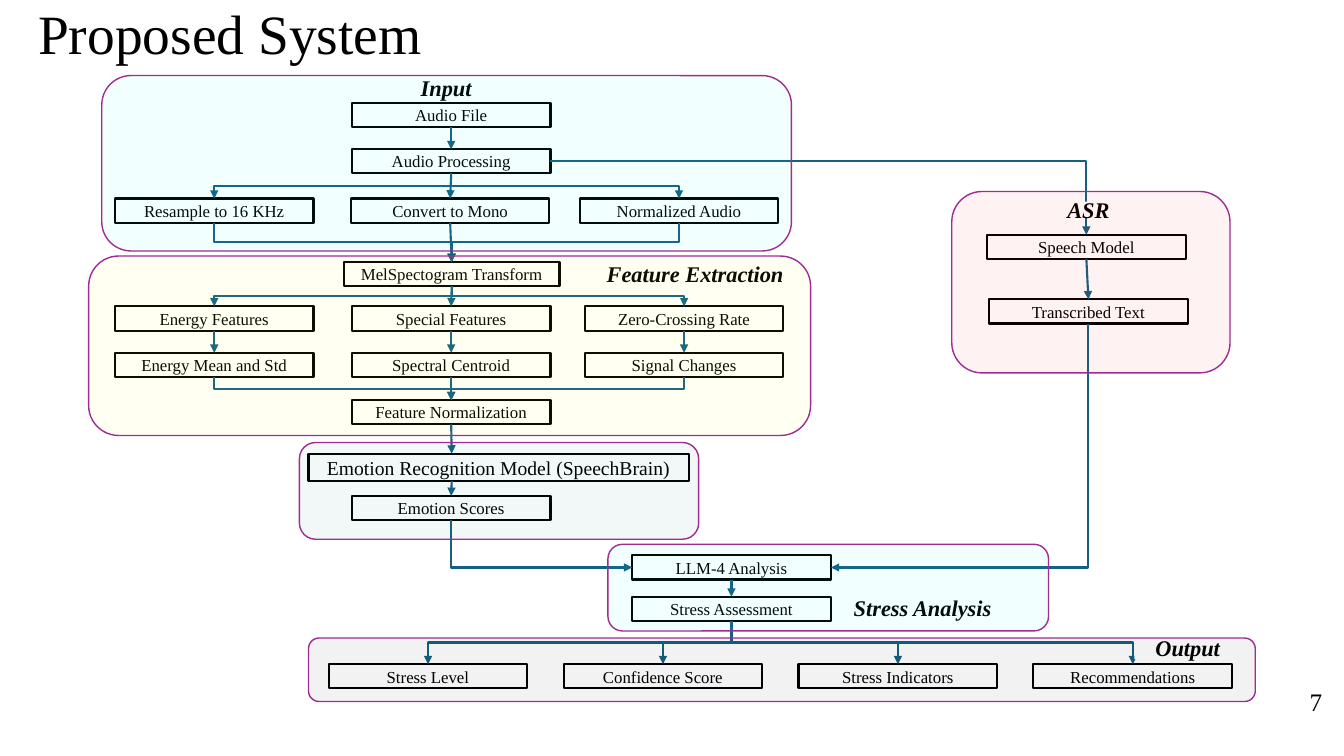
from dataclasses import dataclass
from lxml import etree
from pptx import Presentation
from pptx.dml.color import RGBColor
from pptx.enum.shapes import MSO_CONNECTOR, MSO_SHAPE
from pptx.enum.text import MSO_ANCHOR, PP_ALIGN
from pptx.oxml.ns import qn
from pptx.util import Inches, Pt


@dataclass(frozen=True)
class Theme:
    font: str = "Times New Roman"
    ink: str = "000000"
    paper: str = "FFFFFF"
    arrow: str = "156082"
    edge: str = "A02B93"
    title: float = 39.6
    page: float = 18
    head: float = 16
    model: float = 14
    step: float = 12
    tint: int = 5  # percent opacity of the zones


THEME = Theme()
TITLE, PAGE = "Proposed System", "7"
WIDE, HIGH = 1.97, 0.24
LEFT, MID, RIGHT, STRESS, ASR = 1.14, 3.49, 5.8, 6.27, 9.8
MODEL = "Emotion Recognition Model (SpeechBrain)"
MEL = "MelSpectogram Transform"
FORK = ["Resample to 16 KHz", "Convert to Mono", "Normalized Audio"]
TRAITS = ["Energy Features", "Special Features", "Zero-Crossing Rate"]
STATS = ["Energy Mean and Std", "Spectral Centroid", "Signal Changes"]
OUTPUT = ["Stress Level", "Confidence Score", "Stress Indicators", "Recommendations"]

# Steps: top, left edges, labels
ROWS = [
    (1.02, [MID], ["Audio File"]),
    (1.48, [MID], ["Audio Processing"]),
    (1.97, [LEFT, 3.48, 5.75], FORK),
    (3.04, [LEFT, MID, RIGHT], TRAITS),
    (3.5, [LEFT, MID, RIGHT], STATS),
    (3.97, [MID], ["Feature Normalization"]),
    (4.92, [MID], ["Emotion Scores"]),
    (5.51, [STRESS], ["LLM-4 Analysis"]),
    (5.92, [STRESS], ["Stress Assessment"]),
    (6.59, [3.26 + 2.33 * i for i in range(4)], OUTPUT),
    (2.33, [9.79], ["Speech Model"]),
    (2.97, [9.81], ["Transcribed Text"]),
]
BOXES = {
    text: (left, top, WIDE, HIGH)
    for top, lefts, texts in ROWS
    for left, text in zip(lefts, texts)
}
BOXES[MEL] = (3.41, 2.6, 2.14, HIGH)
BOXES[MODEL] = (3.06, 4.5, 3.77, 0.27)
PORTS = {MODEL: 4.48}  # where arrows meet a box away from its centre

# Arrows from the bottom of one step to the top of the next
DOWN = [
    ("Audio File", "Audio Processing"),
    *[("Audio Processing", text) for text in FORK],
    *[(text, MEL) for text in FORK],
    *[(MEL, text) for text in TRAITS],
    *zip(TRAITS, STATS),
    *[(text, "Feature Normalization") for text in STATS],
    ("Feature Normalization", MODEL),
    (MODEL, "Emotion Scores"),
    ("Speech Model", "Transcribed Text"),
    ("LLM-4 Analysis", "Stress Assessment"),
    *[("Stress Assessment", text) for text in OUTPUT],
]
# Arrows with one corner: step and side left, step and side reached
TURNS = [
    ("Audio Processing", "right", "Speech Model", "top"),
    ("Transcribed Text", "bottom", "LLM-4 Analysis", "right"),
    ("Emotion Scores", "bottom", "LLM-4 Analysis", "left"),
]
HEADS = [
    ("Input", (3.62, 0.77, 1.61, 0.19)),
    ("Feature Extraction", (5.91, 2.63, 1.97, 0.16)),
    ("Output", (11.25, 6.3, 1.06, 0.24)),
    ("Stress Analysis", (8.26, 5.93, 1.78, 0.2)),
    ("ASR", (10.34, 2, 0.91, 0.16)),
]
ZONES = [
    ("00FFFF", (1.01, 0.75, 6.84, 1.74)),
    ("FFFF00", (0.88, 2.54, 7.16, 1.78)),
    ("000000", (3.06, 6.33, 9.39, 0.63)),
    ("00FFFF", (6.03, 5.4, 4.37, 0.86)),
    ("006666", (2.97, 4.39, 3.96, 0.96)),
    ("FF0000", (9.44, 1.9, 2.76, 1.8)),
]


def color(code):
    return RGBColor.from_string(code)


def write(shape, text, size, bold=False, align=PP_ALIGN.CENTER):
    frame = shape.text_frame
    frame.word_wrap = True
    frame.vertical_anchor = MSO_ANCHOR.MIDDLE
    para = frame.paragraphs[0]
    para.alignment = align
    run = para.add_run()
    run.text = text
    font = run.font
    font.name, font.size = THEME.font, Pt(size)
    font.bold = font.italic = bold
    font.color.rgb = color(THEME.ink)
    return para


def block(slide, area, fill, line=None, width=1.5, kind=MSO_SHAPE.RECTANGLE):
    shape = slide.shapes.add_shape(kind, *map(Inches, area))
    shape.shadow.inherit = False
    shape.fill.solid()
    shape.fill.fore_color.rgb = color(fill)
    if line:
        shape.line.color.rgb = color(line)
        shape.line.width = Pt(width)
    else:
        shape.line.fill.background()
    frame = shape.text_frame
    frame.margin_top = frame.margin_bottom = 0
    return shape


def port(text, side):
    """Return the point where an arrow meets a side of a step."""
    left, top, wide, high = BOXES[text]
    mid = PORTS.get(text, left + wide / 2)
    return {
        "top": (mid, top),
        "bottom": (mid, top + high),
        "left": (left, top + high / 2),
        "right": (left + wide, top + high / 2),
    }[side]


def arrow(slide, start, end, bends, fall=True):
    """Draw an arrow; fall makes a bent one leave its step downward."""
    (x1, y1), (x2, y2) = start, end
    bent = abs(x2 - x1) > 0.03
    kind = MSO_CONNECTOR.ELBOW if bent else MSO_CONNECTOR.STRAIGHT
    turn = bent and fall
    if turn:  # frame before its quarter turn, about the same centre
        wide, high = y2 - y1, abs(x2 - x1)
        left, top = (x1 + x2 - wide) / 2, (y1 + y2 - high) / 2
        ends = left, top, left + wide, top + high
    else:
        ends = x1, y1, x2, y2
    link = slide.shapes.add_connector(kind, *map(Inches, ends))
    link.line.color.rgb = color(THEME.arrow)
    link.line.width = Pt(1.5)
    props = link._element.spPr
    if turn:
        form = props.find(qn("a:xfrm"))
        form.set("rot", str((270 if x2 > x1 else 90) * 60000))
        if x2 > x1:
            form.set("flipH", "1")
    if bent:
        props.find(qn("a:prstGeom")).set("prst", f"bentConnector{bends + 1}")
    etree.SubElement(props.find(qn("a:ln")), qn("a:tailEnd"), type="triangle")
    etree.SubElement(props, qn("a:effectLst"))


def zone(slide, tint, area):
    shape = block(slide, area, tint, THEME.edge, 1, MSO_SHAPE.ROUNDED_RECTANGLE)
    fill = shape._element.spPr.find(qn("a:solidFill"))
    etree.SubElement(fill[0], qn("a:alpha"), val=str(THEME.tint * 1000))


def main():
    deck = Presentation()
    deck.slide_width, deck.slide_height = Inches(13.33), Inches(7.5)
    slide = deck.slides.add_slide(deck.slide_layouts[6])

    for text, area in BOXES.items():
        size = THEME.model if text == MODEL else THEME.step
        write(block(slide, area, THEME.paper, THEME.ink), text, size)
    for first, last in DOWN:
        arrow(slide, port(first, "bottom"), port(last, "top"), 2)
    for first, out, last, into in TURNS:
        arrow(slide, port(first, out), port(last, into), 1, out == "bottom")
    for text, area in HEADS:
        write(block(slide, area, THEME.paper), text, THEME.head, True)
    for tint, area in ZONES:
        zone(slide, tint, area)

    title = slide.shapes.add_textbox(*map(Inches, (0.28, 0.08, 11.5, 0.56)))
    write(title, TITLE, THEME.title, align=PP_ALIGN.LEFT).line_spacing = 0.9
    page = block(slide, (12.64, 6.76, 0.65, 0.4), THEME.paper, THEME.paper, 0.75)
    page.text_frame.margin_left = Inches(0.35)
    write(page, PAGE, THEME.page, align=PP_ALIGN.LEFT)
    deck.save("out.pptx")


if __name__ == "__main__":
    main()
